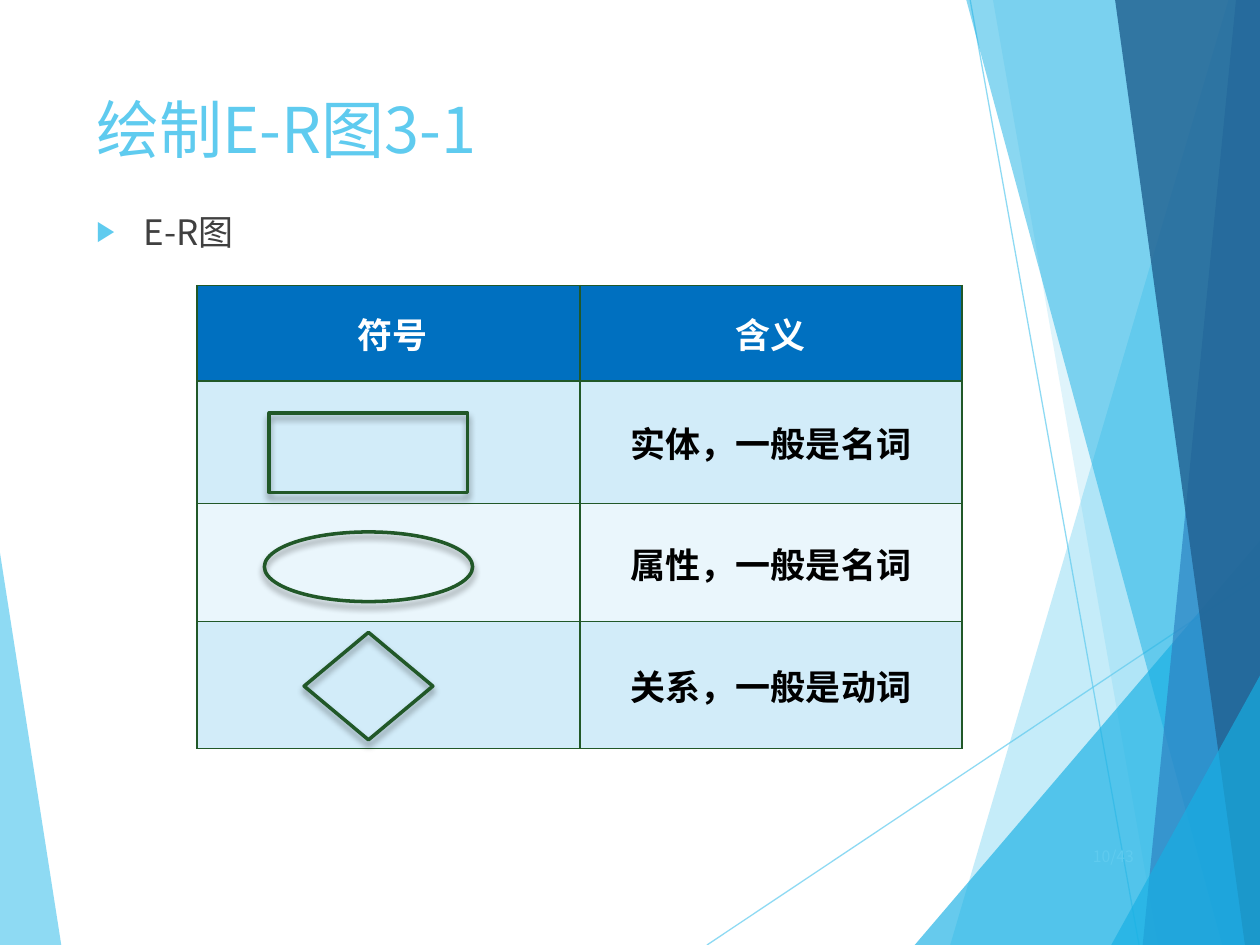
from dataclasses import dataclass

from lxml.etree import SubElement
from pptx import Presentation
from pptx.dml.color import RGBColor
from pptx.enum.shapes import MSO_CONNECTOR, MSO_SHAPE
from pptx.enum.text import MSO_ANCHOR, PP_ALIGN
from pptx.oxml.ns import qn
from pptx.util import Pt


@dataclass(frozen=True)
class Theme:
    sky: str = "5FCBEF"
    cyan: str = "17B0E4"
    blue: str = "2E83C3"
    navy: str = "226292"
    green: str = "215828"
    header: str = "0070C0"
    bands: tuple = ("D2ECF9", "EAF6FC")
    body: str = "404040"
    white: str = "FFFFFF"
    black: str = "000000"
    cjk: str = "Noto Sans CJK SC"
    title_size: float = 36
    text_size: float = 20
    number_size: float = 9
    hairline: float = 0.75
    grid_line: float = 1
    symbol_line: float = 2


@dataclass(frozen=True)
class Facet:
    points: tuple
    color: str
    opacity: int


@dataclass(frozen=True)
class Ray:
    start: tuple
    end: tuple


@dataclass(frozen=True)
class Symbol:
    kind: MSO_SHAPE
    top: float
    width: float
    height: float


THEME = Theme()
WIDTH, HEIGHT = 720, 540
SYMBOL_CENTER = 210.6


def right_facet(top: float, bottom: float, color: str, opacity: int) -> Facet:
    """Facet between a slanted edge and the right side of the slide."""
    points = ((top, 0), (bottom, HEIGHT), (WIDTH, HEIGHT), (WIDTH, 0))
    return Facet(points, color, opacity)


def corner_facet(left: float, top: float) -> Facet:
    """Triangle in the bottom right corner."""
    points = ((left, HEIGHT), (WIDTH, top), (WIDTH, HEIGHT))
    return Facet(points, THEME.cyan, 66)


LEFT_FACET = Facet(((0, 316), (35, HEIGHT), (0, HEIGHT)), THEME.sky, 70)
RAYS = (Ray((404, 540), (720, 329)), Ray((554.4, 0), (650.9, 540)))
RIGHT_FACETS = (
    right_facet(702, 543, THEME.sky, 36),
    right_facet(567.4, 661.7, THEME.sky, 20),
    corner_facet(522.7, 309),
    right_facet(552.2, 698.4, THEME.cyan, 50),
    right_facet(706.3, 653, THEME.blue, 70),
    right_facet(637.2, 711.4, THEME.navy, 82),
    corner_facet(635, 386),
)
MEANINGS = ("实体，一般是名词", "属性，一般是名词", "关系，一般是动词")
COLUMN_WIDTHS = (218.9, 218.2)
ROW_HEIGHTS = (54.4, 70.2, 67.5, 72.5)
SYMBOLS = (
    Symbol(MSO_SHAPE.RECTANGLE, 236, 113.5, 45.4),
    Symbol(MSO_SHAPE.OVAL, 304, 119, 39.8),
    Symbol(MSO_SHAPE.DIAMOND, 361.4, 73.6, 61.4),
)


def set_opacity(element, percent: int) -> None:
    color = element.find(".//" + qn("a:srgbClr"))
    SubElement(color, qn("a:alpha"), val=str(percent * 1000))


def draw_facet(page, facet: Facet) -> None:
    points = [(Pt(x), Pt(y)) for x, y in facet.points]
    builder = page.shapes.build_freeform(*points[0], scale=1.0)
    builder.add_line_segments(points[1:], close=True)
    shape = builder.convert_to_shape()
    shape.shadow.inherit = False
    shape.fill.solid()
    shape.fill.fore_color.rgb = RGBColor.from_string(facet.color)
    shape.line.fill.background()
    set_opacity(shape.fill._xPr, facet.opacity)


def draw_ray(page, ray: Ray) -> None:
    ends = [Pt(value) for value in ray.start + ray.end]
    connector = page.shapes.add_connector(MSO_CONNECTOR.STRAIGHT, *ends)
    connector.line.width = Pt(THEME.hairline)
    connector.line.color.rgb = RGBColor.from_string(THEME.sky)
    properties = connector._element.spPr
    set_opacity(properties, 70)
    SubElement(properties, qn("a:effectLst"))


def write(frame, text: str, *, size: float, color: str, font: str = THEME.cjk,
          bold: bool = False, align: PP_ALIGN = PP_ALIGN.LEFT, before: float = 0):
    para = frame.paragraphs[0]
    para.alignment = align
    para.space_before = Pt(before)
    span = para.add_run()
    span.text = text
    span.font.size = Pt(size)
    span.font.bold = bold
    span.font.name = font
    span.font.color.rgb = RGBColor.from_string(color)
    SubElement(span._r.get_or_add_rPr(), qn("a:ea"), typeface=THEME.cjk)
    return para


def add_box(page, left: float, top: float, width: float, height: float,
            anchor: MSO_ANCHOR = MSO_ANCHOR.MIDDLE):
    box = page.shapes.add_textbox(Pt(left), Pt(top), Pt(width), Pt(height))
    box.text_frame.word_wrap = True
    box.text_frame.vertical_anchor = anchor
    return box.text_frame


def add_bullet(para, indent: float) -> None:
    properties = para._p.get_or_add_pPr()
    properties.set("marL", str(Pt(indent)))
    properties.set("indent", str(-Pt(indent)))
    color = SubElement(properties, qn("a:buClr"))
    SubElement(color, qn("a:srgbClr"), val=THEME.sky)
    SubElement(properties, qn("a:buSzPct"), val="80000")
    SubElement(properties, qn("a:buFont"), typeface="Arial")
    SubElement(properties, qn("a:buChar"), char="▶")


def style_cell(cell, color: str) -> None:
    """Set the borders, then the fill that must follow them."""
    properties = cell._tc.get_or_add_tcPr()
    for side in ("lnL", "lnR", "lnT", "lnB"):
        border = SubElement(properties, qn(f"a:{side}"), w=str(Pt(THEME.grid_line)))
        fill = SubElement(border, qn("a:solidFill"))
        SubElement(fill, qn("a:srgbClr"), val=THEME.green)
    cell.fill.solid()
    cell.fill.fore_color.rgb = RGBColor.from_string(color)
    cell.vertical_anchor = MSO_ANCHOR.MIDDLE


def draw_table(page) -> None:
    table = page.shapes.add_table(
        len(ROW_HEIGHTS), len(COLUMN_WIDTHS), Pt(112.6), Pt(163.2),
        Pt(sum(COLUMN_WIDTHS)), Pt(sum(ROW_HEIGHTS))).table
    for column, width in zip(table.columns, COLUMN_WIDTHS):
        column.width = Pt(width)
    for index, (row, height) in enumerate(zip(table.rows, ROW_HEIGHTS)):
        row.height = Pt(height)
        for cell in row.cells:
            style_cell(cell, THEME.bands[(index - 1) % 2] if index else THEME.header)
    cell_format = dict(size=THEME.text_size, bold=True, align=PP_ALIGN.CENTER, before=4)
    write(table.cell(0, 0).text_frame, " 符号", color=THEME.white, font="Arial", **cell_format)
    write(table.cell(0, 1).text_frame, "含义", color=THEME.white, **cell_format)
    for index, meaning in enumerate(MEANINGS, start=1):
        cell = table.cell(index, 1)
        cell.margin_left = cell.margin_right = Pt(8.64)
        write(cell.text_frame, meaning, color=THEME.black, font="Roboto", **cell_format)


def draw_symbol(page, symbol: Symbol) -> None:
    shape = page.shapes.add_shape(
        symbol.kind, Pt(SYMBOL_CENTER - symbol.width / 2), Pt(symbol.top),
        Pt(symbol.width), Pt(symbol.height))
    shape.fill.background()
    shape.line.width = Pt(THEME.symbol_line)
    shape.line.color.rgb = RGBColor.from_string(THEME.green)
    shape.shadow.inherit = False
    effects = shape._element.spPr.find(qn("a:effectLst"))
    shadow = SubElement(effects, qn("a:outerShdw"), blurRad=str(Pt(4)),
                        dist=str(Pt(3)), dir="5400000", rotWithShape="0")
    SubElement(shadow, qn("a:srgbClr"), val=THEME.black)
    set_opacity(shadow, 40)


def main() -> None:
    deck = Presentation()
    deck.slide_width, deck.slide_height = Pt(WIDTH), Pt(HEIGHT)
    page = deck.slides.add_slide(deck.slide_layouts[6])
    draw_facet(page, LEFT_FACET)
    for ray in RAYS:
        draw_ray(page, ray)
    for facet in RIGHT_FACETS:
        draw_facet(page, facet)
    write(add_box(page, 48, 48, 607, 51), "绘制E-R图3-1",
          size=THEME.title_size, color=THEME.sky)
    topic = write(add_box(page, 48, 116.6, 607, 347, MSO_ANCHOR.TOP), "E-R图",
                  size=THEME.text_size, color=THEME.body, before=10)
    add_bullet(topic, 27)
    write(add_box(page, 595, 475, 60, 29), "10/43", size=THEME.number_size,
          color=THEME.sky, align=PP_ALIGN.RIGHT)
    draw_table(page)
    for symbol in SYMBOLS:
        draw_symbol(page, symbol)
    deck.save("out.pptx")


if __name__ == "__main__":
    main()
